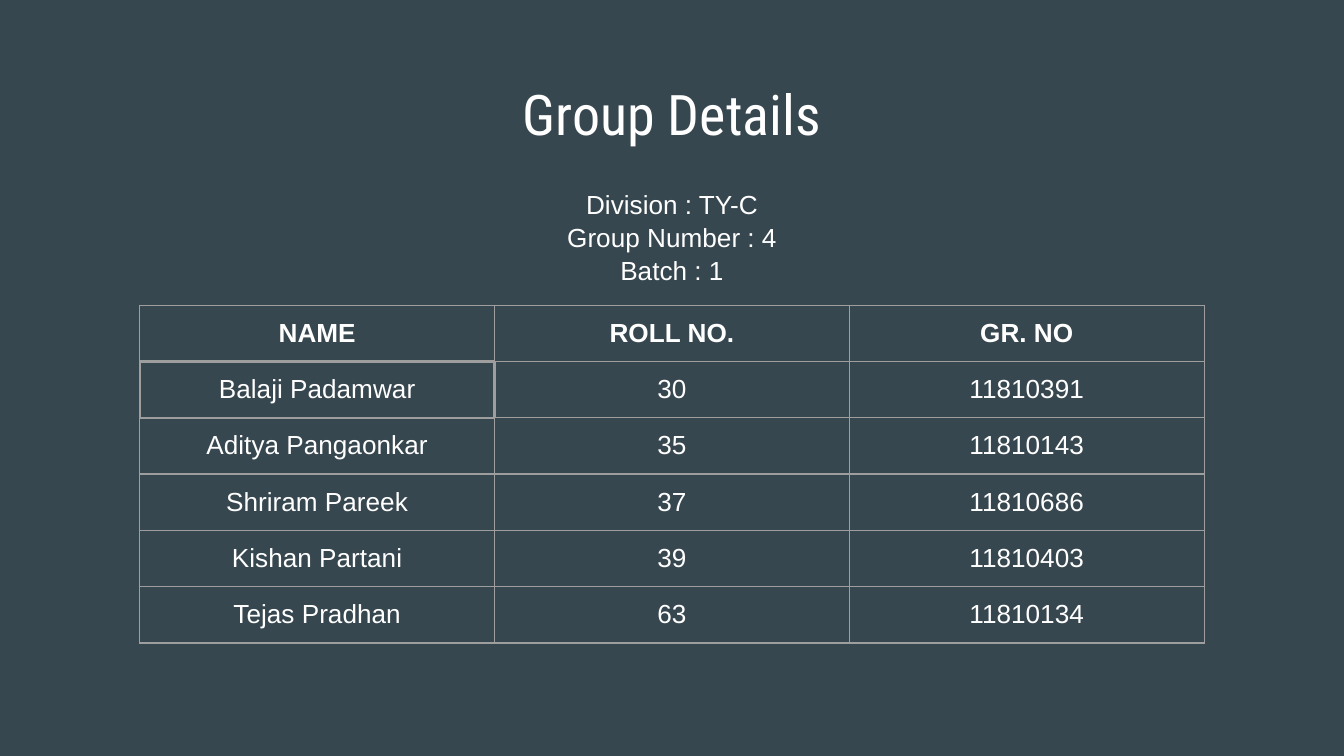
from lxml.etree import SubElement
from pptx import Presentation
from pptx.dml.color import RGBColor
from pptx.enum.text import MSO_ANCHOR, PP_ALIGN
from pptx.oxml.ns import qn
from pptx.util import Pt

COLORS = {"background": "37474F", "text": "FFFFFF", "border": "9E9E9E"}
INSETS = {f"margin_{side}": Pt(7.2) for side in ("left", "top", "right", "bottom")}
SIDES = {"lnL": (0, -1), "lnR": (0, 1), "lnT": (-1, 0), "lnB": (1, 0)}
CONTENT_LEFT, CONTENT_WIDTH = 74.88, 570.24
ROW_HEIGHT = 30.1
HIGHLIGHTED = (1, 0)

MEMBERS = [
    ("NAME", "ROLL NO.", "GR. NO"),
    ("Balaji Padamwar", "30", "11810391"),
    ("Aditya Pangaonkar", "35", "11810143"),
    ("Shriram Pareek", "37", "11810686"),
    ("Kishan Partani", "39", "11810403"),
    ("Tejas Pradhan", "63", "11810134"),
]


def apply(target, values):
    for name, value in values.items():
        setattr(target, name, value)


class SlideBuilder:
    def __init__(self, slide):
        self.slide = slide
        background = slide.background.fill
        background.solid()
        background.fore_color.rgb = RGBColor.from_string(COLORS["background"])

    def add_lines(self, frame, lines, size=14, font="Arial", bold=False, spacing=None):
        for number, line in enumerate(lines):
            paragraph = frame.add_paragraph() if number else frame.paragraphs[0]
            apply(paragraph, {"alignment": PP_ALIGN.CENTER, "line_spacing": spacing})
            run = paragraph.add_run()
            run.text = line
            apply(run.font, {"name": font, "size": Pt(size), "bold": bold})
            run.font.color.rgb = RGBColor.from_string(COLORS["text"])

    def text(self, left, top, width, height, lines, **style):
        box = self.slide.shapes.add_textbox(Pt(left), Pt(top), Pt(width), Pt(height))
        frame = box.text_frame
        apply(frame, {"word_wrap": True, "vertical_anchor": MSO_ANCHOR.TOP, **INSETS})
        self.add_lines(frame, lines, **style)

    def border(self, cell, position):
        """Draw all four sides, thicker where they touch the highlighted cell."""
        row, column = position
        properties = cell._tc.get_or_add_tcPr()
        for side, (down, across) in SIDES.items():
            neighbour = (row + down, column + across)
            width = 1.5 if HIGHLIGHTED in (position, neighbour) else 0.75
            line = SubElement(properties, qn(f"a:{side}"), w=str(Pt(width)))
            fill = SubElement(line, qn("a:solidFill"))
            SubElement(fill, qn("a:srgbClr"), val=COLORS["border"])

    def table(self, left, top, width, row_height, rows):
        count = len(rows[0])
        table = self.slide.shapes.add_table(
            len(rows), count, Pt(left), Pt(top), Pt(width), Pt(row_height * len(rows))
        ).table
        apply(table, {"first_row": False, "horz_banding": False})
        for column in table.columns:
            column.width = Pt(width / count)
        for r, values in enumerate(rows):
            table.rows[r].height = Pt(row_height)
            for c, value in enumerate(values):
                cell = table.cell(r, c)
                apply(cell, INSETS)
                self.border(cell, (r, c))
                cell.fill.background()
                self.add_lines(cell.text_frame, [value], bold=r == 0)


def main():
    presentation = Presentation()
    apply(presentation, {"slide_width": Pt(720), "slide_height": Pt(405)})
    builder = SlideBuilder(presentation.slides.add_slide(presentation.slide_layouts[6]))
    builder.table(CONTENT_LEFT, 163.5, CONTENT_WIDTH, ROW_HEIGHT, MEMBERS)
    builder.text(24.5, 35.3, 671, 45.4, ["Group Details"], size=30, font="Roboto Condensed")
    builder.text(
        CONTENT_LEFT, 92.9, CONTENT_WIDTH, 57.6,
        ["Division : TY-C", "Group Number : 4", "Batch : 1"], spacing=1.05,
    )
    presentation.save("out.pptx")


if __name__ == "__main__":
    main()
